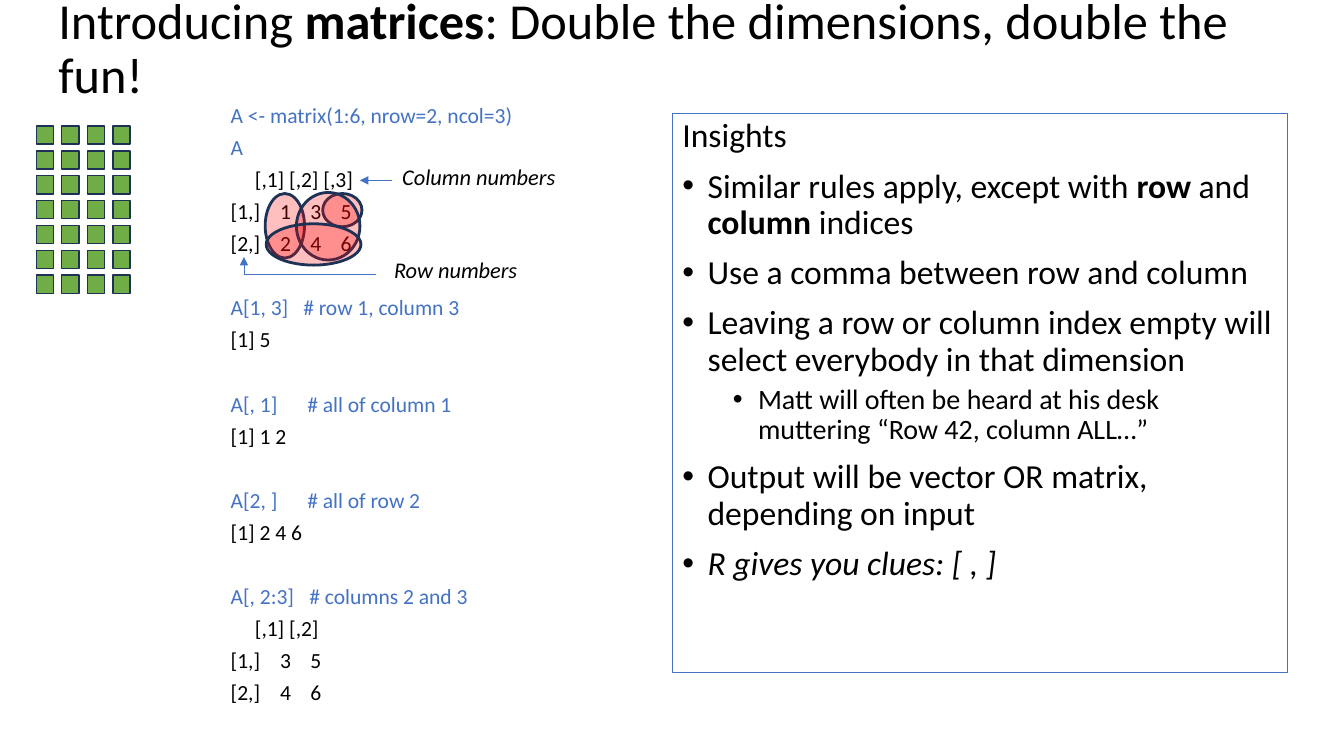
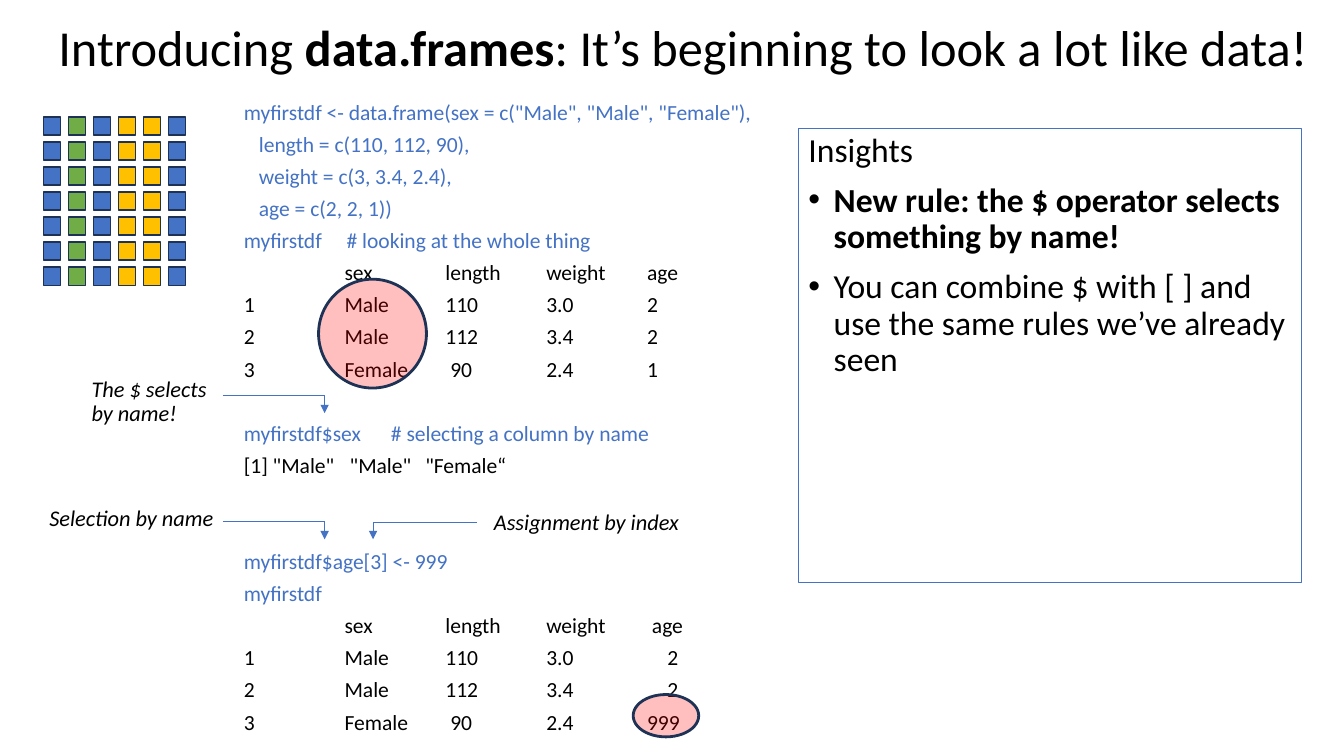
"""Build two slides that introduce matrices and data frames in R."""
from dataclasses import dataclass
from itertools import pairwise

from lxml.etree import SubElement as Sub
from pptx import Presentation
from pptx.dml.color import RGBColor as Rgb
from pptx.enum.shapes import MSO_CONNECTOR as Link, MSO_SHAPE as Kind
from pptx.enum.text import MSO_ANCHOR as Anchor, PP_ALIGN as Align
from pptx.oxml.ns import qn
from pptx.shapes.autoshape import Shape
from pptx.slide import Slide
from pptx.text.text import TextFrame
from pptx.util import Inches, Pt

Box = tuple[float, float, float, float]
Point = tuple[float, float]


@dataclass(frozen=True)
class Theme:
    font: str = "Calibri"
    black: str = "000000"
    blue: str = "4472C4"
    green: str = "70AD47"
    gold: str = "FFC000"
    navy: str = "1E3256"
    red: str = "FF0000"
    title: float = 36
    head: float = 24
    sub: float = 20
    label: float = 16
    code: float = 15.4
    space: float = 10
    row: float = 22.9


T = Theme()


@dataclass(frozen=True)
class Line:
    text: str
    blue: bool = False
    tabs: tuple[float, ...] = ()
    skip: int = 0


@dataclass(frozen=True)
class Item:
    text: str
    level: int = 0
    slant: bool = False


@dataclass(frozen=True)
class Note:
    text: str
    box: Box


@dataclass(frozen=True)
class Grid:
    box: Box
    hues: tuple[str, ...]
    rows: int = 7
    wide: float = 0.17
    high: float = 0.18


@dataclass(frozen=True)
class Page:
    title: str
    area: Box
    code: tuple[Line, ...]
    panel: Box
    items: tuple[Item, ...]
    grid: Grid
    notes: tuple[Note, ...]
    arrows: tuple[tuple[Point, ...], ...]
    rings: tuple[Box, ...]


def write(frame: TextFrame, text: str, *, size: float, color: str = T.black,
          slant: bool = False, lead: float = 0.9, before: float = T.space,
          left: float = 0, bullet: bool = False,
          tabs: tuple[float, ...] = ()) -> None:
    """Add a paragraph, with bold parts between double asterisks."""
    para = frame.paragraphs[0]
    if para.runs:
        para = frame.add_paragraph()
    para.alignment = Align.LEFT
    para.line_spacing = lead
    para.space_before = Pt(before)
    for i, part in enumerate(text.split("**")):
        if part:
            run = para.add_run()
            run.text = part
            font = run.font
            font.name, font.size = T.font, Pt(size)
            font.bold, font.italic = i % 2 == 1, slant
            font.color.rgb = Rgb.from_string(color)
    props = para._p.get_or_add_pPr()
    if bullet:
        props.set("marL", str(Inches(left)))
        props.set("indent", str(Inches(-0.25)))
        Sub(props, qn("a:buFont"), typeface="Arial")
        Sub(props, qn("a:buChar"), char="•")
    if tabs:
        stops = Sub(props, qn("a:tabLst"))
        for stop in tabs:
            Sub(stops, qn("a:tab"), pos=str(Inches(stop)), algn="l")


def frame(slide: Slide, box: Box, anchor: Anchor = Anchor.TOP) -> TextFrame:
    """Add a wrapping text box."""
    area = slide.shapes.add_textbox(*map(Inches, box)).text_frame
    area.word_wrap, area.vertical_anchor = True, anchor
    return area


def shape(shapes, kind: Kind, box: Box, *, fill: str | None = None,
          line: str = T.navy, width: float = 1) -> Shape:
    """Add a flat preset shape."""
    form = shapes.add_shape(kind, *map(Inches, box))
    form.shadow.inherit = False
    if fill:
        form.fill.solid()
        form.fill.fore_color.rgb = Rgb.from_string(fill)
    else:
        form.fill.background()
    form.line.color.rgb = Rgb.from_string(line)
    form.line.width = Pt(width)
    return form


def ring(slide: Slide, box: Box) -> None:
    """Add a see-through red ellipse."""
    form = shape(slide.shapes, Kind.OVAL, box, fill=T.red, width=2)
    tint = form._element.spPr.find(".//" + qn("a:srgbClr"))
    Sub(tint, qn("a:alpha"), val="25000")


def arrow(slide: Slide, points: tuple[Point, ...]) -> None:
    """Join the points with lines and put a head on the last one."""
    group = slide.shapes.add_group_shape()
    for start, end in pairwise(points):
        link = group.shapes.add_connector(
            Link.STRAIGHT, *map(Inches, start + end))
        link.line.color.rgb = Rgb.from_string(T.blue)
        link.line.width = Pt(0.5)
        if end == points[-1]:
            Sub(link.line._get_or_add_ln(), qn("a:tailEnd"), type="triangle")
        Sub(link._element.spPr, qn("a:effectLst"))


def cells(slide: Slide, grid: Grid) -> None:
    """Fill the grid's box with evenly spaced cells."""
    left, top, wide, high = grid.box
    across = (wide - grid.wide) / (len(grid.hues) - 1)
    down = (high - grid.high) / (grid.rows - 1)
    group = slide.shapes.add_group_shape()
    for col, hue in enumerate(grid.hues):
        for row in range(grid.rows):
            box = (left + col * across, top + row * down, grid.wide, grid.high)
            shape(group.shapes, Kind.RECTANGLE, box, fill=hue)


def panel(slide: Slide, page: Page) -> None:
    """Add the outlined list of insights."""
    form = shape(slide.shapes, Kind.RECTANGLE, page.panel,
                 line=T.blue, width=0.75)
    area = form.text_frame
    area.word_wrap, area.vertical_anchor = True, Anchor.TOP
    write(area, "Insights", size=T.head)
    for item in page.items:
        write(area, item.text, size=T.sub if item.level else T.head,
              slant=item.slant, before=T.space / (1 + item.level),
              left=0.25 + 0.5 * item.level, bullet=True)


def draw(slide: Slide, page: Page) -> None:
    """Draw one page."""
    write(frame(slide, (0.48, 0, 12.65, 1), Anchor.MIDDLE), page.title,
          size=T.title, before=0)
    area = frame(slide, page.area)
    for line in page.code:
        write(area, line.text, size=T.code, lead=0.7, tabs=line.tabs,
              color=T.blue if line.blue else T.black,
              before=T.space + line.skip * T.row)
    panel(slide, page)
    cells(slide, page.grid)
    for note in page.notes:
        write(frame(slide, note.box), note.text, size=T.label, slant=True)
    for points in page.arrows:
        arrow(slide, points)
    for box in page.rings:
        ring(slide, box)


HEAD = (0.24,)
COLS = (0.49, 0.79, 1.09)
STEP = (0.15,)
DATA = (1, 2, 3, 4)
LAST = (1, 2, 3, 4.2)

PAGES = (
    Page(
        title="Introducing **matrices**: Double the dimensions, double the fun!",
        area=(2.19, 1.03, 4.06, 6.37),
        code=(
            Line("A <- matrix(1:6, nrow=2, ncol=3)", True),
            Line("A", True),
            Line("\t[,1] [,2] [,3]", tabs=HEAD),
            Line("[1,]\t1\t3\t5", tabs=COLS),
            Line("[2,]\t2\t4\t6", tabs=COLS),
            Line("A[1, 3]\t# row 1, column 3", True, (0.72,), 1),
            Line("[1] 5"),
            Line("A[, 1]\t# all of column 1", True, (0.76,), 1),
            Line("[1] 1 2"),
            Line("A[2, ]\t# all of row 2", True, (0.76,), 1),
            Line("[1] 2 4 6"),
            Line("A[, 2:3]\t# columns 2 and 3", True, (0.78,), 1),
            Line("\t[,1] [,2]", tabs=HEAD),
            Line("[1,]\t3\t5", tabs=COLS),
            Line("[2,]\t4\t6", tabs=COLS),
        ),
        panel=(6.67, 1.13, 6.1, 5.54),
        items=(
            Item("Similar rules apply, except with **row **and **column** indices"),
            Item("Use a comma between row and column"),
            Item("Leaving a row or column index empty will select everybody "
                 "in that dimension"),
            Item("Matt will often be heard at his desk muttering "
                 "“Row 42, column ALL…”", level=1),
            Item("Output will be vector OR matrix, depending on input"),
            Item("R gives you clues: [ , ]", slant=True),
        ),
        grid=Grid((0.36, 1.25, 0.93, 1.66), (T.green,) * 4),
        notes=(Note("Column numbers", (3.89, 1.6, 1.92, 0.31)),
               Note("Row numbers", (3.81, 2.52, 1.92, 0.31))),
        arrows=(((3.89, 1.79), (3.57, 1.79)),
                ((3.73, 2.72), (2.42, 2.72), (2.42, 2.55))),
        rings=((3.2, 1.92, 0.39, 0.33), (2.63, 1.92, 0.39, 0.64),
               (2.94, 1.91, 0.63, 0.67), (2.64, 2.22, 0.94, 0.41)),
    ),
    Page(
        title="Introducing **data.frames**: It’s beginning to look a lot like data!",
        area=(2.32, 1, 5.37, 6.5),
        code=(
            Line('myfirstdf <- data.frame(sex = c("Male", "Male", "Female"),', True),
            Line("\tlength = c(110, 112, 90),", True, STEP),
            Line("\tweight = c(3, 3.4, 2.4),", True, STEP),
            Line("\tage = c(2, 2, 1))", True, STEP),
            Line("myfirstdf\t# looking at the whole thing", True, (1.02,)),
            Line("\tsex\tlength\tweight\tage", tabs=DATA),
            Line("1\tMale\t110\t3.0\t2", tabs=DATA),
            Line("2\tMale\t112\t3.4\t2", tabs=DATA),
            Line("3\tFemale\t 90\t2.4\t1", tabs=DATA),
            Line("myfirstdf$sex\t# selecting a column by name", True, (1.46,), 1),
            Line('[1] "Male"\t"Male"\t"Female“', tabs=(1.05, 1.8)),
            Line("myfirstdf$age[3] <- 999", True, skip=2),
            Line("myfirstdf", True),
            Line("\tsex\tlength\tweight\t age", tabs=DATA),
            Line("1\tMale\t110\t3.0\t2", tabs=LAST),
            Line("2\tMale\t112\t3.4\t2", tabs=LAST),
            Line("3\tFemale\t 90\t2.4\t999", tabs=DATA),
        ),
        panel=(7.92, 1.27, 4.99, 4.51),
        items=(
            Item("**New rule: the $ operator selects something by name!**"),
            Item("You can combine $ with [ ] and use the same rules "
                 "we’ve already seen"),
        ),
        grid=Grid((0.43, 1.16, 1.41, 1.67),
                  (T.blue, T.green, T.blue, T.gold, T.gold, T.blue)),
        notes=(Note("The $ selects by name!", (0.81, 3.7, 1.45, 0.56)),
               Note("Selection by name", (0.39, 4.98, 1.92, 0.34)),
               Note("Assignment by index", (4.8, 5.02, 2.19, 0.34))),
        arrows=(((2.21, 3.92), (3.22, 3.92), (3.22, 4.1)),
                ((2.21, 5.17), (3.22, 5.17), (3.22, 5.35)),
                ((4.73, 5.18), (3.7, 5.18), (3.7, 5.35))),
        rings=((3.16, 2.77, 1.07, 1.08), (6.28, 6.89, 0.65, 0.42)),
    ),
)


def main() -> None:
    """Build and save the deck."""
    deck = Presentation()
    deck.slide_width, deck.slide_height = Inches(13.33), Inches(7.5)
    for page in PAGES:
        draw(deck.slides.add_slide(deck.slide_layouts[6]), page)
    deck.save("out.pptx")


if __name__ == "__main__":
    main()
